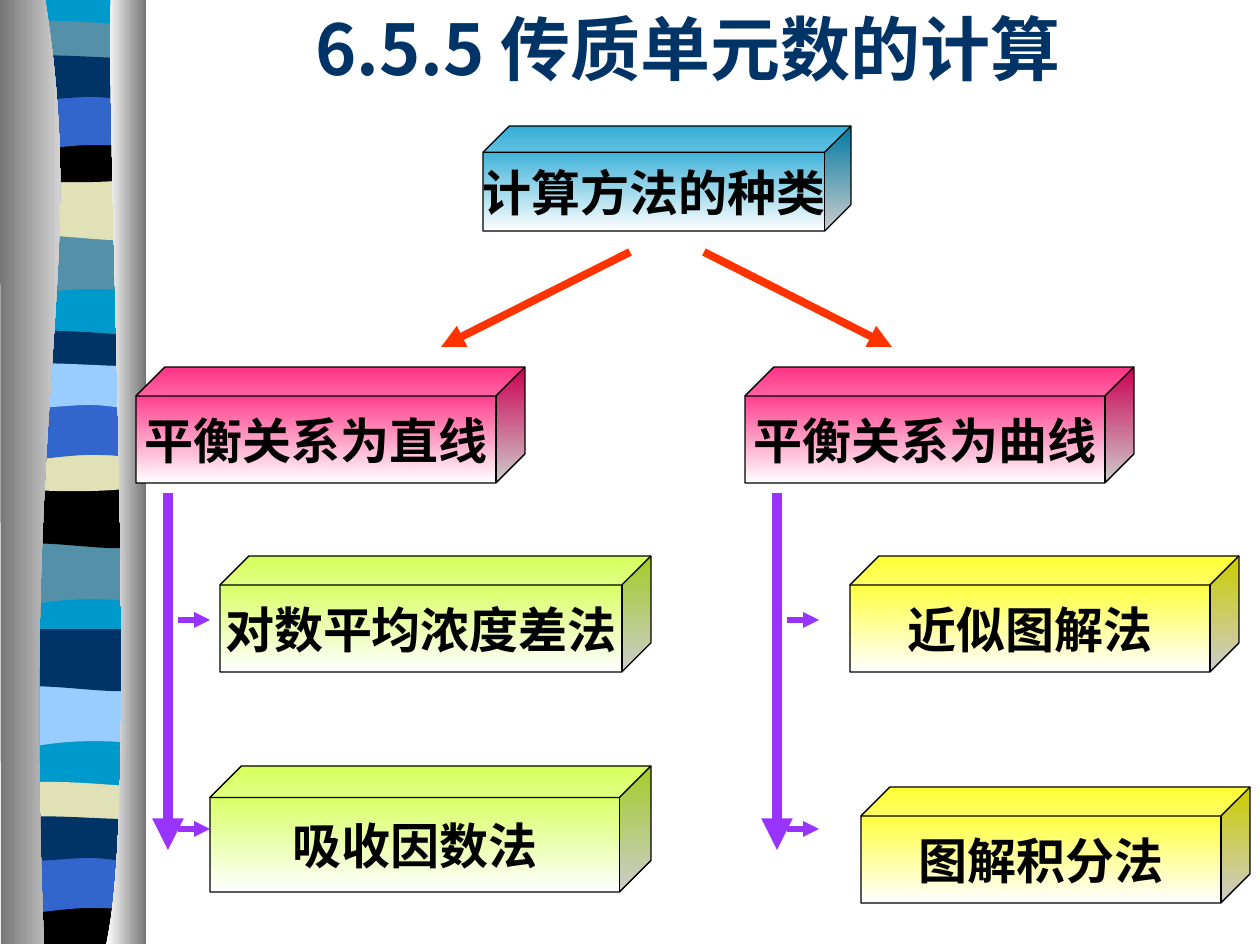
import pptx
import pptx.util
import pptx.dml.color
import pptx.enum.shapes
import pptx.enum.text
import pptx.oxml
import pptx.oxml.ns

SCALE = 914400 / 126
FONT = "Noto Sans CJK SC"
NAMESPACE = pptx.oxml.ns.nsdecls("a")
COLORS = {
    "cyan": "0099CC", "teal": "5490A8", "navy": "003366", "blue": "3366CC",
    "black": "000000", "sand": "E1E1B7", "sky": "99CCFF", "gray": "767676",
    "white": "FFFFFF", "pink": "FF0066", "lime": "CCFF33", "yellow": "FFFF00",
    "red": "FF3300", "purple": "9933FF",
}
RGB = {name: pptx.dml.color.RGBColor.from_string(value) for name, value in COLORS.items()}


def write_text(shape, text, size=28, color="black", wrap=False):
    frame = shape.text_frame
    frame.word_wrap = wrap
    frame.auto_size = pptx.enum.text.MSO_AUTO_SIZE.NONE
    frame.vertical_anchor = pptx.enum.text.MSO_ANCHOR.MIDDLE
    paragraph = frame.paragraphs[0]
    paragraph.alignment = pptx.enum.text.PP_ALIGN.CENTER
    run = paragraph.add_run()
    run.text = text
    run.font.size = pptx.util.Pt(size)
    run.font.bold = True
    run.font.color.rgb = RGB[color]
    run.font.name = FONT
    run.font._element.append(pptx.oxml.parse_xml(f'<a:ea {NAMESPACE} typeface="{FONT}"/>'))


presentation = pptx.Presentation()
presentation.slide_width = pptx.util.Emu(int(1260 * SCALE))
presentation.slide_height = pptx.util.Emu(int(945 * SCALE))
slide = presentation.slides.add_slide(presentation.slide_layouts[5])

# Each segment holds one point for a line or three for a curve.
OUTLINES = {
    "base": [[(136, 0)], [(136, 942)], [(0, 942)], [(0, 0)]],
    "swell": [[(136, 0)], [(136, 59)], [(42, 49), (23, 69), (0, 59)], [(0, 0)]],
    "ripple": [[(136, 0)], [(136, 59)], [(113, 69), (42, 52), (0, 59)], [(0, 0)]],
    "lens": [[(136, 6)], [(136, 36)], [(113, 42), (23, 42), (0, 36)], [(0, 6)],
             [(8, 0), (29, 1), (52, 1)], [(74, 1), (118, 5), (136, 6)]],
    "bowl": [[(136, 0)], [(136, 41)], [(113, 48), (23, 48), (0, 41)], [(0, 0)],
             [(83, 6), (107, 0), (136, 0)]],
    "arch": [[(136, 0)], [(136, 59)], [(115, 52), (106, 52), (83, 52)],
             [(60, 52), (20, 59), (0, 59)], [(0, 0)]],
    "flag": [[(136, 6)], [(136, 45)], [(127, 52), (106, 45), (83, 45)],
             [(60, 45), (14, 52), (0, 45)], [(0, 6)],
             [(19, 0), (92, 6), (115, 6)], [(138, 6), (133, 6), (136, 6)]],
    "foot": [[(136, 0)], [(136, 47)], [(1, 47)], [(0, 0)], [(83, 6), (107, 0), (136, 0)]],
    "left column": [[(45, 0)], [(89, 273), (21, 374), (44, 945)], [(1, 945)], [(0, 0)]],
    "right column": [[(111, 0)], [(106, 158), (140, 815), (106, 945)], [(146, 945)], [(146, 1)]],
}
ribbon = [
    ("base", 8, -1, ["cyan"]),
    ("swell", 8, 233, ["teal"]), ("ripple", 8, 178, ["sand"]), ("lens", 8, 20, ["teal"]),
    ("bowl", 8, 136, ["black"]), ("arch", 8, 93, ["blue"]), ("flag", 8, 52, ["navy"]),
    ("swell", 6, 543, ["teal"]), ("ripple", 6, 486, ["black"]), ("lens", 6, 330, ["navy"]),
    ("bowl", 6, 445, ["sand"]), ("arch", 6, 403, ["blue"]), ("flag", 6, 360, ["sky"]),
    ("swell", 8, 685, ["sky"]), ("ripple", 8, 629, ["navy"]), ("lens", 6, 781, ["sand"]),
    ("foot", 6, 897, ["black"]), ("arch", 6, 856, ["blue"]), ("flag", 6, 813, ["navy"]),
    ("left column", 0, -1, ["gray", "white"]), ("right column", 0, -1, ["white", "gray"]),
]
for outline, left, top, fill_colors in ribbon:
    segments = [[(left + x, top + y) for x, y in segment] for segment in OUTLINES[outline]]
    start, *rest = segments
    builder = slide.shapes.build_freeform(*start[0], scale=SCALE)
    builder.add_line_segments([point for segment in rest for point in segment], close=True)
    shape = builder.convert_to_shape()
    lines = iter(list(shape._element.iter(pptx.oxml.ns.qn("a:lnTo"))))
    for segment in rest:
        pieces = [next(lines) for point in segment]
        if len(pieces) == 3:
            curve = pptx.oxml.parse_xml(f"<a:cubicBezTo {NAMESPACE}/>")
            pieces[0].addprevious(curve)
            for piece in pieces:
                curve.append(piece[0])
                piece.getparent().remove(piece)
    shape.shadow.inherit = False
    shape.line.fill.background()
    if len(fill_colors) == 1:
        shape.fill.solid()
        shape.fill.fore_color.rgb = RGB[fill_colors[0]]
    else:
        shape.fill.gradient()
        shape.fill.gradient_angle = 0
        for stop, color in zip(shape.fill.gradient_stops, fill_colors):
            stop.color.rgb = RGB[color]

title = slide.shapes.title
title.left, title.top, title.width, title.height = (
    int(length * SCALE) for length in (116, 0, 1144, 94))
write_text(title, "6.5.5 传质单元数的计算", size=40, color="navy", wrap=True)

boxes = [
    ("计算方法的种类", "cyan", 483, 126, 368, 105),
    ("平衡关系为直线", "pink", 136, 367, 389, 116),
    ("平衡关系为曲线", "pink", 745, 367, 389, 116),
    ("对数平均浓度差法", "lime", 220, 556, 431, 116),
    ("吸收因数法", "lime", 210, 766, 441, 126),
    ("近似图解法", "yellow", 850, 556, 389, 116),
    ("图解积分法", "yellow", 861, 787, 389, 116),
]
for text, color, *place in boxes:
    box = slide.shapes.add_shape(
        pptx.enum.shapes.MSO_SHAPE.CUBE, *(int(length * SCALE) for length in place))
    box.shadow.inherit = False
    box.fill.gradient()
    box.fill.gradient_angle = 270
    for stop, stop_color in zip(box.fill.gradient_stops, (color, "white")):
        stop.color.rgb = RGB[stop_color]
    box.line.color.rgb = RGB["black"]
    box.line.width = pptx.util.Pt(0.75)
    write_text(box, text)

arrows = [
    ("red", 4.5, 630, 252, 441, 347),
    ("red", 4.5, 704, 252, 892, 347),
]
for trunk in (168, 777):
    arrows.append(("purple", 6, trunk, 493, trunk, 850))
    for branch in (620, 829):
        arrows.append(("purple", 3, trunk + 10, branch, trunk + 42, branch))

for color, width, *ends in arrows:
    arrow = slide.shapes.add_connector(
        pptx.enum.shapes.MSO_CONNECTOR.STRAIGHT, *(int(length * SCALE) for length in ends))
    arrow.line.color.rgb = RGB[color]
    arrow.line.width = pptx.util.Pt(width)
    arrow.line._get_or_add_ln().append(
        pptx.oxml.parse_xml(f'<a:tailEnd {NAMESPACE} type="triangle"/>'))
    arrow._element.spPr.append(pptx.oxml.parse_xml(f'<a:effectLst {NAMESPACE}/>'))

presentation.save("out.pptx")
